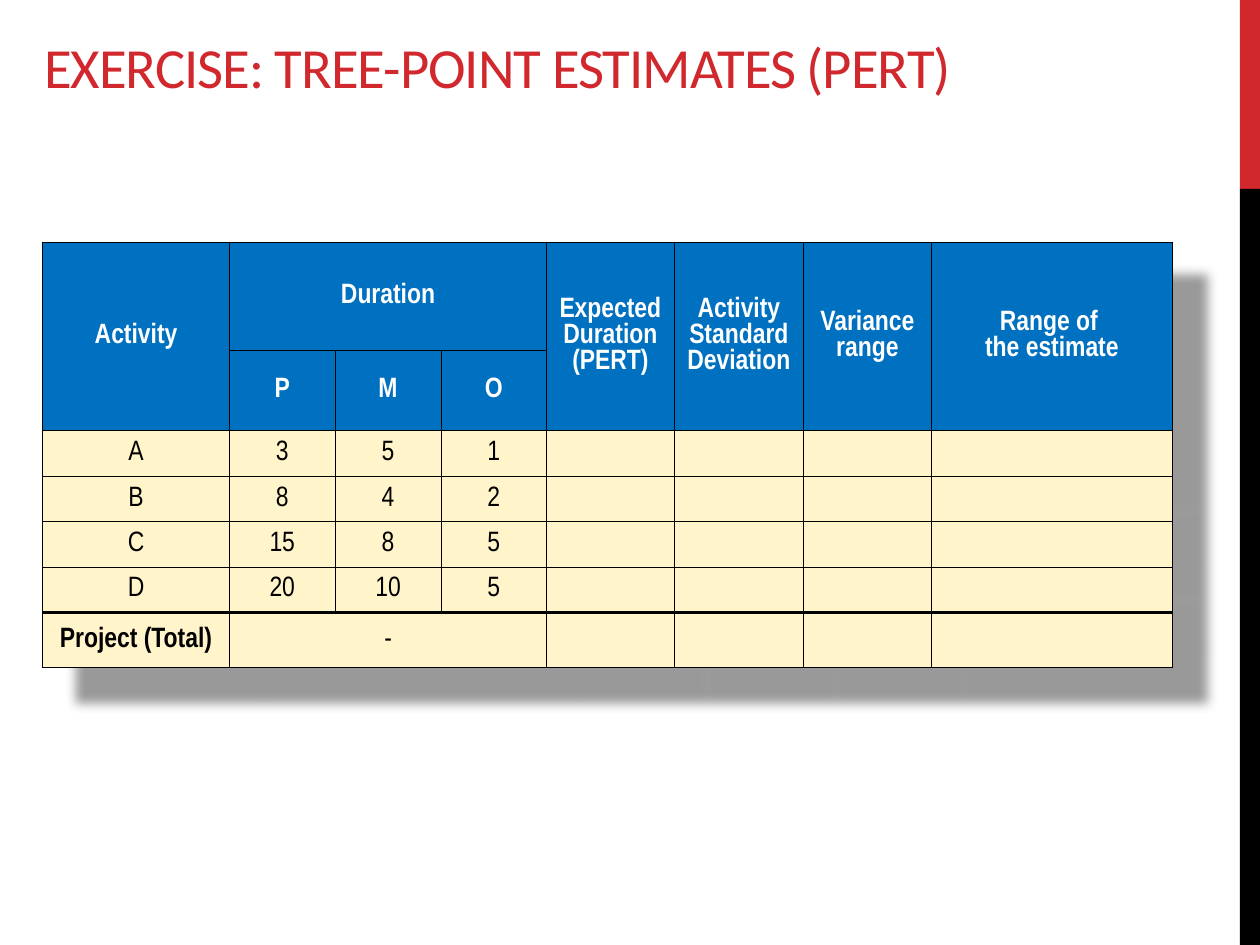
from lxml import etree
from pptx import Presentation
from pptx.dml.color import RGBColor
from pptx.enum.shapes import MSO_SHAPE
from pptx.enum.text import MSO_ANCHOR, PP_ALIGN
from pptx.oxml import parse_xml
from pptx.oxml.ns import qn
from pptx.util import Inches, Pt

RECTANGLE = MSO_SHAPE.RECTANGLE
MIDDLE, BOTTOM = MSO_ANCHOR.MIDDLE, MSO_ANCHOR.BOTTOM
LEFT, CENTER = PP_ALIGN.LEFT, PP_ALIGN.CENTER

RED = RGBColor(0xD1, 0x28, 0x2E)
BLACK = RGBColor(0, 0, 0)
WHITE = RGBColor(0xFF, 0xFF, 0xFF)
BLUE = RGBColor(0x00, 0x70, 0xC0)
CREAM = RGBColor(0xFF, 0xF4, 0xCA)

COLUMN_WIDTHS = [1.48, 0.84, 0.84, 0.84, 1.01, 1.03, 1.01, 1.92]
ROW_HEIGHTS = [0.86, 0.64, 0.36, 0.36, 0.36, 0.36, 0.44]
HEADER_ROWS = 2
TOTAL_ROW = len(ROW_HEIGHTS) - 1
ROWS = [
    ["Activity", "Duration", "", "", "Expected Duration\n(PERT)",
     "Activity Standard Deviation", "Variance range", "Range of \nthe estimate"],
    ["", "P", "M", "O"],
    ["A", "3", "5", "1"],
    ["B", "8", "4", "2"],
    ["C", "15", "8", "5"],
    ["D", "20", "10", "5"],
    ["Project (Total)", "-"],
]


def add_border(cell, side, points):
    line = etree.SubElement(cell._tc.get_or_add_tcPr(), qn(f"a:ln{side}"), w=str(Pt(points)))
    fill = etree.SubElement(line, qn("a:solidFill"))
    etree.SubElement(fill, qn("a:srgbClr"), val=str(BLACK))


deck = Presentation()
deck.slide_width, deck.slide_height = Inches(10), Inches(7.5)
page = deck.slides.add_slide(deck.slide_layouts[5])

# Side bar
for top, height, color in [(0, 1.5, RED), (1.5, 6, BLACK)]:
    bar = page.shapes.add_shape(RECTANGLE, Inches(9.84), Inches(top), Inches(0.16), Inches(height))
    bar.shadow.inherit = False
    bar.fill.solid()
    bar.fill.fore_color.rgb = color
    bar.line.fill.background()

# Title
title = page.shapes.title
title.left, title.top, title.width, title.height = (
    Inches(0.25), Inches(0.42), Inches(8.33), Inches(0.42))
title.text_frame.vertical_anchor = BOTTOM
title.text_frame.word_wrap = True
para = title.text_frame.paragraphs[0]
para.alignment = LEFT
span = para.add_run()
span.text = "EXERCISE: TREE-POINT ESTIMATES (PERT)"
span.font.name, span.font.size = "Calibri", Pt(32.4)
span.font.color.rgb = RED
span.font._element.set("spc", "-60")

# Estimate table
frame = page.shapes.add_table(
    len(ROW_HEIGHTS), len(COLUMN_WIDTHS), Inches(0.34), Inches(1.92),
    Inches(sum(COLUMN_WIDTHS)), Inches(sum(ROW_HEIGHTS)))
table = frame.table
table.first_row = table.horz_banding = False
for column, width in zip(table.columns, COLUMN_WIDTHS):
    column.width = Inches(width)
for row, height in zip(table.rows, ROW_HEIGHTS):
    row.height = Inches(height)

shadow = parse_xml(
    '<a:effectLst xmlns:a="http://schemas.openxmlformats.org/drawingml/2006/main">'
    f'<a:outerShdw blurRad="{Inches(0.08)}" dist="{Inches(0.38)}" dir="2700000" algn="tl">'
    '<a:srgbClr val="000000"><a:alpha val="40000"/></a:srgbClr>'
    '</a:outerShdw></a:effectLst>')
table._tbl.tblPr.insert(0, shadow)

for row_index in range(len(ROW_HEIGHTS)):
    is_header = row_index < HEADER_ROWS
    texts = ROWS[row_index]
    for column_index in range(len(COLUMN_WIDTHS)):
        cell = table.cell(row_index, column_index)
        cell.margin_left = cell.margin_right = cell.margin_top = cell.margin_bottom = 0
        cell.vertical_anchor = MIDDLE
        for side in "LRTB":
            is_thick = (row_index, side) in [(TOTAL_ROW - 1, "B"), (TOTAL_ROW, "T")]
            add_border(cell, side, 2 if is_thick else 0.5)
        cell.fill.solid()
        cell.fill.fore_color.rgb = BLUE if is_header else CREAM

        para = cell.text_frame.paragraphs[0]
        para.alignment = CENTER
        para.font.size = Pt(16)
        text = texts[column_index] if column_index < len(texts) else ""
        if not text:
            continue
        for line_index, line in enumerate(text.split("\n")):
            if line_index:
                para.add_line_break()
            span = para.add_run()
            span.text = line
            span.font.name, span.font.size = "Arial Narrow", Pt(16)
            span.font.bold = is_header or (row_index == TOTAL_ROW and column_index == 0)
            span.font.color.rgb = WHITE if is_header else BLACK

for column_index in (0, 4, 5, 6, 7):
    table.cell(0, column_index).merge(table.cell(1, column_index))
for row_index in (0, TOTAL_ROW):
    table.cell(row_index, 1).merge(table.cell(row_index, 3))

deck.save("out.pptx")
